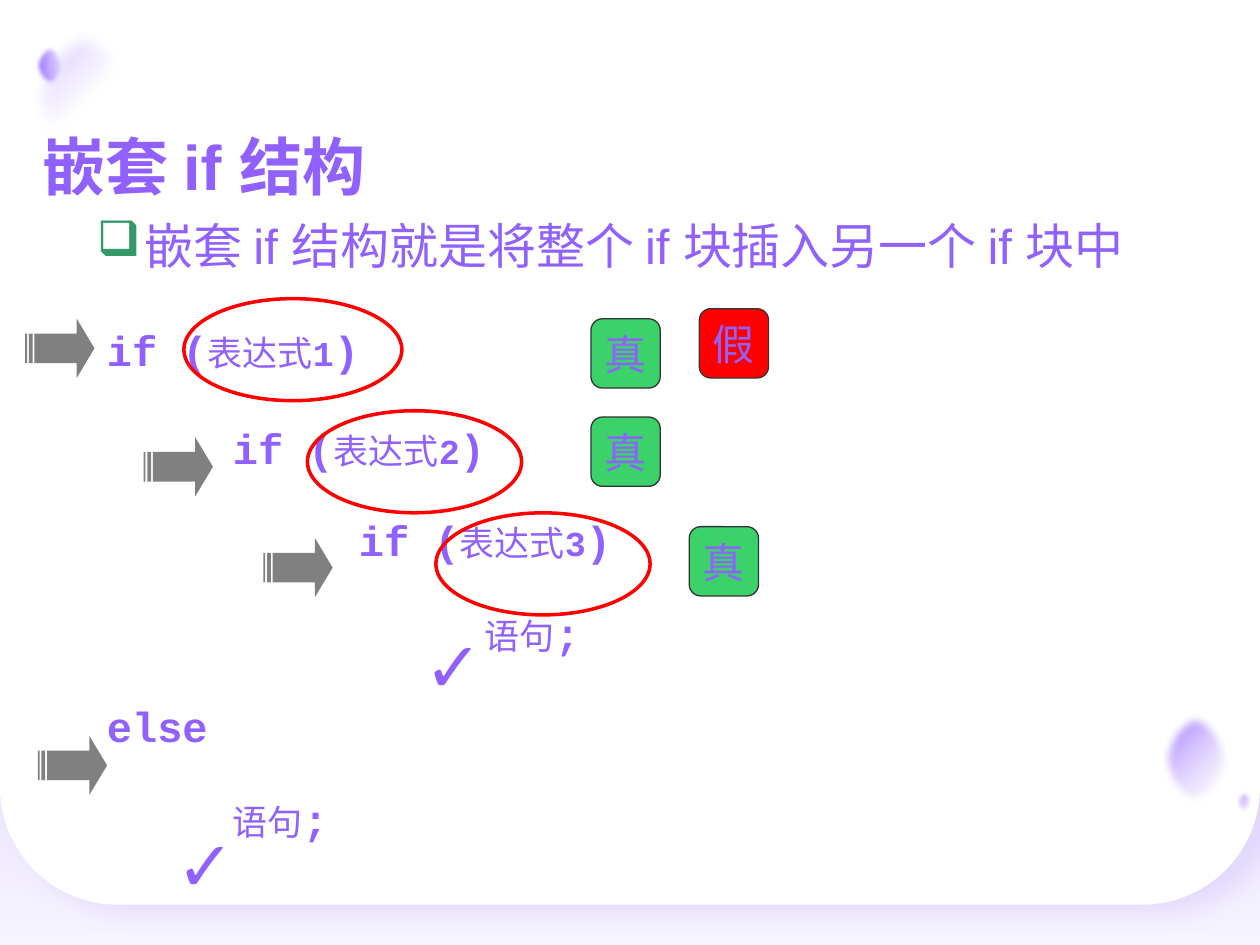
from lxml import etree
from pptx import Presentation
from pptx.dml.color import RGBColor
from pptx.enum import shapes, text
from pptx.oxml import ns
from pptx.util import Inches, Pt

VIOLET = RGBColor(0x90, 0x61, 0xFF)
WHITE = RGBColor(0xFF, 0xFF, 0xFF)
PAPER = RGBColor(0xFB, 0xFB, 0xFF)
GREEN = RGBColor(0x3C, 0xD2, 0x6A)
BULLET = RGBColor(0x33, 0x99, 0x66)
RED = RGBColor(0xFF, 0, 0)
GRAY = RGBColor(0x80, 0x80, 0x80)
EDGE = RGBColor(0x33, 0x33, 0x33)
LILAC = RGBColor(0xD3, 0xC0, 0xFF)
MAUVE = RGBColor(0xBC, 0xA0, 0xFF)
PALE = RGBColor(0xE9, 0xDF, 0xFF)
KIND = shapes.MSO_SHAPE


def node(parent, tag, **attrs):
    """Add a drawing element with the given attributes."""
    child = etree.SubElement(parent, ns.qn("a:" + tag))
    for key, val in attrs.items():
        child.set(key, str(val))
    return child


def tint(parent, color, alpha):
    node(node(parent, "srgbClr", val=color), "alpha", val=alpha * 1000)


def write(para, words, size=24, font="Arial", color=VIOLET, bold=False):
    run = para.add_run()
    run.text = words
    run.font.size = Pt(size)
    run.font.name = font
    run.font.bold = bold
    run.font.color.rgb = color


class Deck:
    """Holds the style and the current slide."""

    def __init__(self, show):
        self.slide = show.slides.add_slide(show.slide_layouts[6])
        fill = self.slide.background.fill
        fill.solid()
        fill.fore_color.rgb = PAPER

    def shape(self, kind, box, fill=None, line=None, width=0.75):
        item = self.slide.shapes.add_shape(kind, *map(Inches, box))
        item.shadow.inherit = False
        if fill is None:
            item.fill.background()
        else:
            item.fill.solid()
            item.fill.fore_color.rgb = fill
        if line is None:
            item.line.fill.background()
        else:
            item.line.color.rgb = line
            item.line.width = Pt(width)
        return item

    def glow(self, kind, box, stops, angle, soft=0):
        """Draw a gradient shape; stops are (place, colour, opacity)."""
        item = self.shape(kind, box, WHITE)
        props = item._element.spPr
        grad = etree.Element(ns.qn("a:gradFill"), rotWithShape="1")
        steps = node(grad, "gsLst")
        for pos, color, alpha in stops:
            tint(node(steps, "gs", pos=pos * 1000), color, alpha)
        node(grad, "lin", ang=angle * 60000, scaled=0)
        props.replace(props.find(ns.qn("a:solidFill")), grad)
        if soft:
            node(props.find(ns.qn("a:effectLst")), "softEdge", rad=Pt(soft))

    def panel(self, box):
        item = self.shape(KIND.ROUND_2_SAME_RECTANGLE, box, WHITE)
        item.adjustments[0] = 0.13
        item.adjustments[1] = 0
        props = item._element.spPr
        props.xfrm.set("flipV", "1")
        shade = node(props.find(ns.qn("a:effectLst")), "outerShdw",
                     blurRad=Pt(15), dist=Pt(12), dir=25 * 60000, rotWithShape=0)
        tint(shade, LILAC, 45)

    def text(self, box):
        frame = self.slide.shapes.add_textbox(*map(Inches, box)).text_frame
        frame.word_wrap = True
        return frame

    def title(self, box, words):
        frame = self.text(box)
        frame.vertical_anchor = text.MSO_ANCHOR.MIDDLE
        frame.margin_left = Inches(0.34)
        frame.margin_right = frame.margin_top = frame.margin_bottom = 0
        write(frame.paragraphs[0], words, size=36, bold=True)

    def point(self, box, words):
        para = self.text(box).paragraphs[0]
        props = para._p.get_or_add_pPr()
        props.set("marL", str(Inches(0.38)))
        props.set("indent", str(-Inches(0.38)))
        node(node(props, "buClr"), "srgbClr", val=BULLET)
        node(props, "buChar", char="❑")
        write(para, words, size=28)

    def code(self, box, lines):
        """Write (depth, head, body, digit, tail) lines, one inch per depth."""
        frame = self.text(box)
        for row, (depth, head, body, digit, tail) in enumerate(lines):
            para = frame.add_paragraph() if row else frame.paragraphs[0]
            para._p.get_or_add_pPr().set("marL", str(Inches(depth)))
            if row:
                para.line_spacing = Pt(28)
                para.space_before = Pt(25)
            else:
                para.space_after = Pt(2.5)
            for words, size, bold in ((head, 24, True), (body, 20, False),
                                      (digit, 20, True), (tail, 24, True)):
                if words:
                    write(para, words, size, "Courier New", bold=bold)

    def tile(self, left, top, words, fill):
        item = self.shape(KIND.ROUNDED_RECTANGLE, (left, top, 0.55, 0.55), fill, EDGE)
        frame = item.text_frame
        frame.word_wrap = False
        frame.vertical_anchor = text.MSO_ANCHOR.MIDDLE
        para = frame.paragraphs[0]
        para.alignment = text.PP_ALIGN.CENTER
        write(para, words)

    def ring(self, left, top, width):
        self.shape(KIND.OVAL, (left, top, width, 0.81), line=RED, width=2)

    def arrow(self, left, top):
        item = self.shape(KIND.STRIPED_RIGHT_ARROW, (left, top, 0.55, 0.47), GRAY)
        item.adjustments[0] = 0.5
        item.adjustments[1] = 0.3

    def check(self, left, top):
        frame = self.text((left, top, 0.63, 0.77))
        write(frame.paragraphs[0], "✓", size=40, bold=True)


def main():
    show = Presentation()
    show.slide_width, show.slide_height = Inches(10), Inches(7.5)
    deck = Deck(show)

    deck.glow(KIND.RECTANGLE, (0, 5.61, 10, 1.89), [(0, PALE, 20), (100, PALE, 100)], 270)
    deck.panel((0, 0, 10, 7.18))
    for box, stops, angle, soft in (
        ((9.2, 5.64, 0.58, 0.78), [(0, VIOLET, 100), (100, PALE, 0)], 45, 5),
        ((9.8, 6.26, 0.16, 0.21), [(20, MAUVE, 100), (100, LILAC, 0)], 45, 2.5),
        ((0.23, 0.2, 0.89, 1.18), [(20, MAUVE, 50), (60, PALE, 0)], 45, 8),
        ((0.27, 0.35, 0.25, 0.34), [(0, VIOLET, 0), (100, VIOLET, 100)], 180, 2.5),
    ):
        deck.glow(KIND.OVAL, box, stops, angle, soft)

    deck.point((0.67, 1.66, 9.33, 1.26), "嵌套 if 结构就是将整个 if 块插入另一个 if 块中")
    deck.title((0, 0.26, 8.44, 2.11), "嵌套 if 结构")
    tests = [(step, "if (", "表达式", str(step + 1), ")") for step in range(3)]
    deck.code((0.75, 2.53, 8.74, 4.54), tests + [
        (3, "", "语句", "", ";"),
        (0, "else", "", "", ""),
        (1, "", "语句", "", ";"),
    ])

    for left, top in ((4.69, 2.53), (4.69, 3.31), (5.47, 4.18)):
        deck.tile(left, top, "真", GREEN)
    deck.tile(5.55, 2.45, "假", RED)
    for spot in ((1.46, 2.37, 1.73), (2.44, 3.26, 1.7), (3.46, 4.07, 1.7)):
        deck.ring(*spot)
    for left, top in ((0.2, 2.53), (1.14, 3.47), (2.09, 4.27), (0.3, 5.84)):
        deck.arrow(left, top)
    for left, top in ((3.27, 4.89), (1.3, 6.47)):
        deck.check(left, top)

    show.save("out.pptx")


if __name__ == "__main__":
    main()
